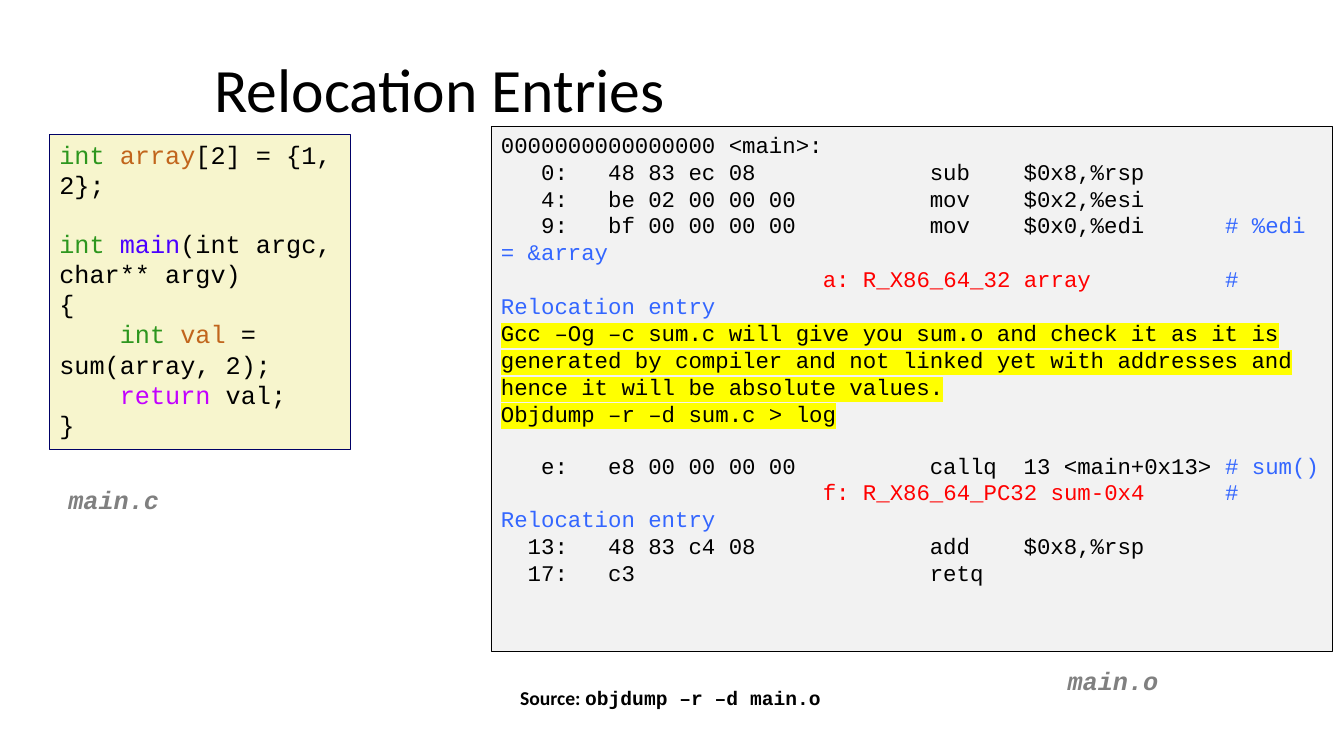
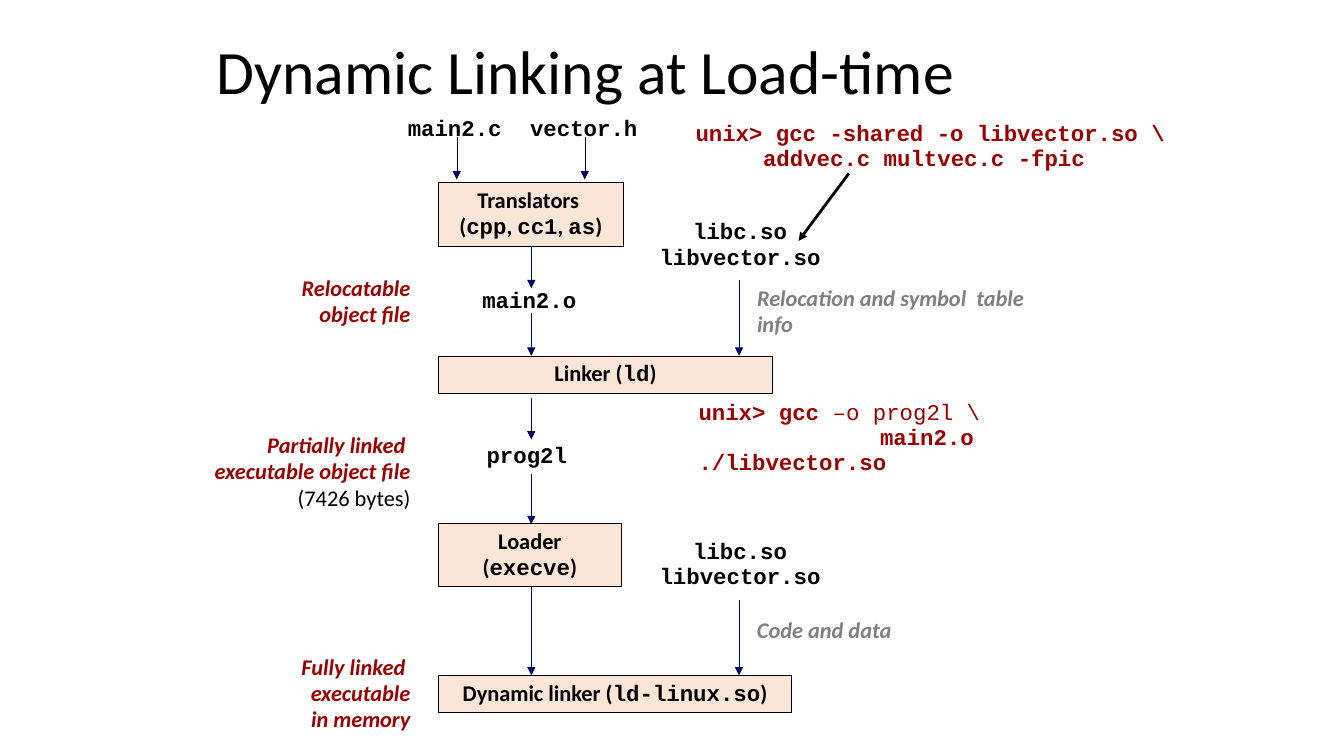
from pptx import Presentation
from pptx.dml.color import RGBColor
from pptx.enum import shapes, text
from pptx.oxml import ns, xmlchemy
from pptx import util as u

COLOURS = {
    "black": "000000", "grey": "808080", "navy": "000066", "dark red": "990000",
    "red": "FF0000", "blue": "3366FF", "yellow": "FFFF00",
    "listing": "F2F2F2", "source": "F7F5CD", "stage": "FBE5D6",
    "type": "2D961E", "variable": "C1651C", "function": "4A00FF", "keyword": "C200FF",
}
SANS, MONO = "Calibri", "Courier New"
LEFT, CENTRE, RIGHT = (text.PP_ALIGN.LEFT, text.PP_ALIGN.CENTER, text.PP_ALIGN.RIGHT)


def rgb(name):
    return RGBColor.from_string(COLOURS[name])


def split_mono(line):
    """Turn backticked parts of a line into monospaced runs."""
    return [(part, {"font": MONO} if i % 2 else {})
            for i, part in enumerate(line.split("`")) if part]


class Deck:
    def __init__(self):
        self.prs = Presentation()
        self.prs.slide_width, self.prs.slide_height = u.Inches(13.33), u.Inches(7.5)
        self.slide = None

    def new_slide(self, title, left, top):
        self.slide = self.prs.slides.add_slide(self.prs.slide_layouts[6])
        frame = self.label((left, top, 9.53, 0.86), [title], size=44, spacing=0.9)
        frame.vertical_anchor = text.MSO_ANCHOR.MIDDLE

    def set_lines(self, frame, lines, size=16, font=SANS, colour="black", bold=False,
                  italic=False, align=LEFT, spacing=1.0, wrap=True):
        """Each line is a string or a list of (words, changes) runs."""
        base = dict(font=font, colour=colour, bold=bold, italic=italic, mark=None)
        frame.word_wrap = wrap
        for i, line in enumerate(lines):
            para = frame.paragraphs[0] if i == 0 else frame.add_paragraph()
            para.alignment, para.line_spacing = align, spacing
            for words, changes in split_mono(line) if isinstance(line, str) else line:
                style = {**base, **changes}
                run = para.add_run()
                run.text = words
                run.font.size, run.font.name = u.Pt(size), style["font"]
                run.font.bold, run.font.italic = style["bold"], style["italic"]
                run.font.color.rgb = rgb(style["colour"])
                if style["mark"]:
                    self.highlight(run, style["mark"])
        return frame

    def highlight(self, run, colour):
        mark = xmlchemy.OxmlElement("a:highlight")
        value = xmlchemy.OxmlElement("a:srgbClr")
        value.set("val", COLOURS[colour])
        mark.append(value)
        run._r.get_or_add_rPr().find(ns.qn("a:solidFill")).addnext(mark)

    def label(self, box, lines, **style):
        area = self.slide.shapes.add_textbox(*map(u.Inches, box))
        return self.set_lines(area.text_frame, lines, **style)

    def panel(self, box, fill, lines, line="black", **style):
        rect = self.slide.shapes.add_shape(
            shapes.MSO_SHAPE.RECTANGLE, *map(u.Inches, box))
        rect.shadow.inherit = False
        rect.fill.solid()
        rect.fill.fore_color.rgb = rgb(fill)
        rect.line.color.rgb, rect.line.width = rgb(line), u.Pt(0.26)
        rect.text_frame.vertical_anchor = text.MSO_ANCHOR.TOP
        return self.set_lines(rect.text_frame, lines, **style)

    def arrow(self, x1, y1, x2, y2, colour="navy", width=0.26):
        link = self.slide.shapes.add_connector(
            shapes.MSO_CONNECTOR.STRAIGHT, *map(u.Inches, (x1, y1, x2, y2)))
        link.line.color.rgb, link.line.width = rgb(colour), u.Pt(width)
        head = xmlchemy.OxmlElement("a:tailEnd")
        head.set("type", "triangle")
        props = link._element.spPr
        props.find(ns.qn("a:ln")).append(head)
        props.append(xmlchemy.OxmlElement("a:effectLst"))

    def file_names(self, box, names, **style):
        style = {"bold": True, "align": CENTRE, **style}
        return self.label(box, names, font=MONO, spacing=0.94, wrap=False, **style)

    def note(self, box, lines, colour, align=LEFT):
        self.label(box, lines, colour=colour, align=align, bold=True, italic=True,
                   spacing=0.98)

    def stage(self, box, lines):
        self.panel(box, "stage", lines, bold=True, align=CENTRE, spacing=0.98)

    def command(self, box, lines, indent, wrap):
        frame = self.label(box, lines, font=MONO, colour="dark red", bold=True,
                           spacing=0.94, wrap=wrap)
        props = frame.paragraphs[1]._p.get_or_add_pPr()
        props.set("marL", "0")
        props.set("indent", str(u.Inches(indent)))


def tint(words, colour):
    return words, {"colour": colour}


def plain(words):
    return words, {}


deck = Deck()

# Slide 1: relocation entries
deck.new_slide("Relocation Entries", 2.03, 0.49)
deck.label((5.06, 6.77, 3.21, 0.34), ["Source: `objdump –r –d main.o`"],
           size=14, bold=True, spacing=0.98, wrap=False)

# Disassembly listing
marked = {"mark": "yellow"}
relocation = tint("# Relocation entry", "blue")
margin = plain(" " * 24)
listing = deck.panel((4.87, 1.25, 8.34, 5.21), "listing", [
    "0000000000000000 <main>:",
    "   0:   48 83 ec 08             sub    $0x8,%rsp",
    "   4:   be 02 00 00 00          mov    $0x2,%esi",
    [plain("   9:   bf 00 00 00 00          mov    $0x0,%edi      "),
     tint("# %edi = &array", "blue")],
    [margin, tint("a: R_X86_64_32 array          ", "red"), relocation],
    [("Gcc –Og –c sum.c will give you sum.o and check it as it is generated by "
      "compiler and not linked yet with addresses and hence it will be absolute "
      "values.", marked)],
    [("Objdump –r –d sum.c > log", marked)],
    [plain("   e:   e8 00 00 00 00          callq  13 <main+0x13> "),
     tint("# sum()", "blue")],
    [margin, tint("f: R_X86_64_PC32 sum-0x4      ", "red"), relocation],
    "  13:   48 83 c4 08             add    $0x8,%rsp",
    "  17:   c3                      retq",
], font=MONO)
listing.paragraphs[7].space_before = u.Pt(18)

# C source
int_type = tint("int ", "type")
source = deck.panel((0.49, 1.33, 2.98, 3.13), "source", [
    [int_type, tint("array", "variable"), plain("[2] = {1, 2};")],
    [int_type, tint("main", "function"), plain("(int argc, char** argv)")],
    "{",
    [plain("    "), int_type, tint("val", "variable"), plain(" = sum(array, 2);")],
    [plain("    "), tint("return", "keyword"), plain(" val;")],
    "}",
], line="navy", size=18, font=MONO)
source.paragraphs[1].space_before = u.Pt(20.4)

for name, left, top in (("main.o", 10.49, 6.58), ("main.c", 0.58, 4.78)):
    deck.file_names((left, top, 1.1, 0.39), [name], size=18, colour="grey",
                    italic=True, align=LEFT)

# Slide 2: dynamic linking
deck.new_slide("Dynamic Linking at Load-time", 2.05, 0.31)

# Arrows of the flow: x, start and end
FLOW, LIBS = 5.27, 7.33
for x, start, end in (
        (4.53, 1.36, 1.78), (5.8, 1.36, 1.78),
        (FLOW, 2.45, 2.86), (FLOW, 3.11, 3.53), (FLOW, 3.95, 4.36),
        (FLOW, 4.7, 5.2), (FLOW, 5.61, 6.7),
        (LIBS, 2.78, 3.53), (LIBS, 5.95, 6.7)):
    deck.arrow(x, start, x, end)

# Tools
for top, width, height, lines in (
        (1.81, 1.83, 0.63, ["Translators ", "(`cpp`, `cc1`, `as`)"]),
        (3.53, 3.31, 0.37, ["Linker (`ld`)"]),
        (5.19, 1.81, 0.63, ["Loader (`execve`)"]),
        (6.7, 3.5, 0.37, ["Dynamic linker (`ld-linux.so`)"])):
    deck.stage((4.35, top, width, height), lines)

# Files
for left, top, width, name in (
        (3.94, 1.11, 1.14, "main2.c"), (5.15, 1.11, 1.28, "vector.h"),
        (4.68, 2.81, 1.14, "main2.o"), (4.72, 4.35, 1.01, "prog2l")):
    deck.file_names((left, top, width, 0.36), [name])
for top in (2.13, 5.3):
    deck.file_names((6.43, top, 1.82, 0.61), ["libc.so", "libvector.so"])

# Notes on both sides of the flow
deck.note((7.41, 2.78, 2.85, 0.63), ["Relocation and symbol  table info"], "grey")
deck.note((7.41, 6.08, 1.94, 0.37), ["Code and data"], "grey")
file_size = ("(7426 bytes)", {"colour": "black", "bold": False, "italic": False})
for top, width, height, lines in (
        (2.68, 1.5, 0.63, ["Relocatable", "object file"]),
        (4.24, 2.75, 0.89, ["Partially linked ", "executable object file", [file_size]]),
        (6.44, 1.92, 0.89, ["Fully linked ", "executable", "in memory"])):
    deck.note((4.17 - width, top, width, height), lines, "dark red", RIGHT)

# Shell commands
deck.command((6.8, 1.15, 4.92, 0.61),
             ["unix> gcc -shared -o libvector.so \\", "addvec.c multvec.c -fpic"],
             indent=0.67, wrap=False)
deck.command((6.83, 3.92, 3.98, 0.61),
             [[plain("unix> gcc "), ("–o prog2l \\", {"bold": False})],
              "main2.o ./libvector.so"], indent=1.8, wrap=True)
deck.arrow(8.42, 1.72, 7.92, 2.39, colour="black", width=2)

deck.prs.save("out.pptx")
